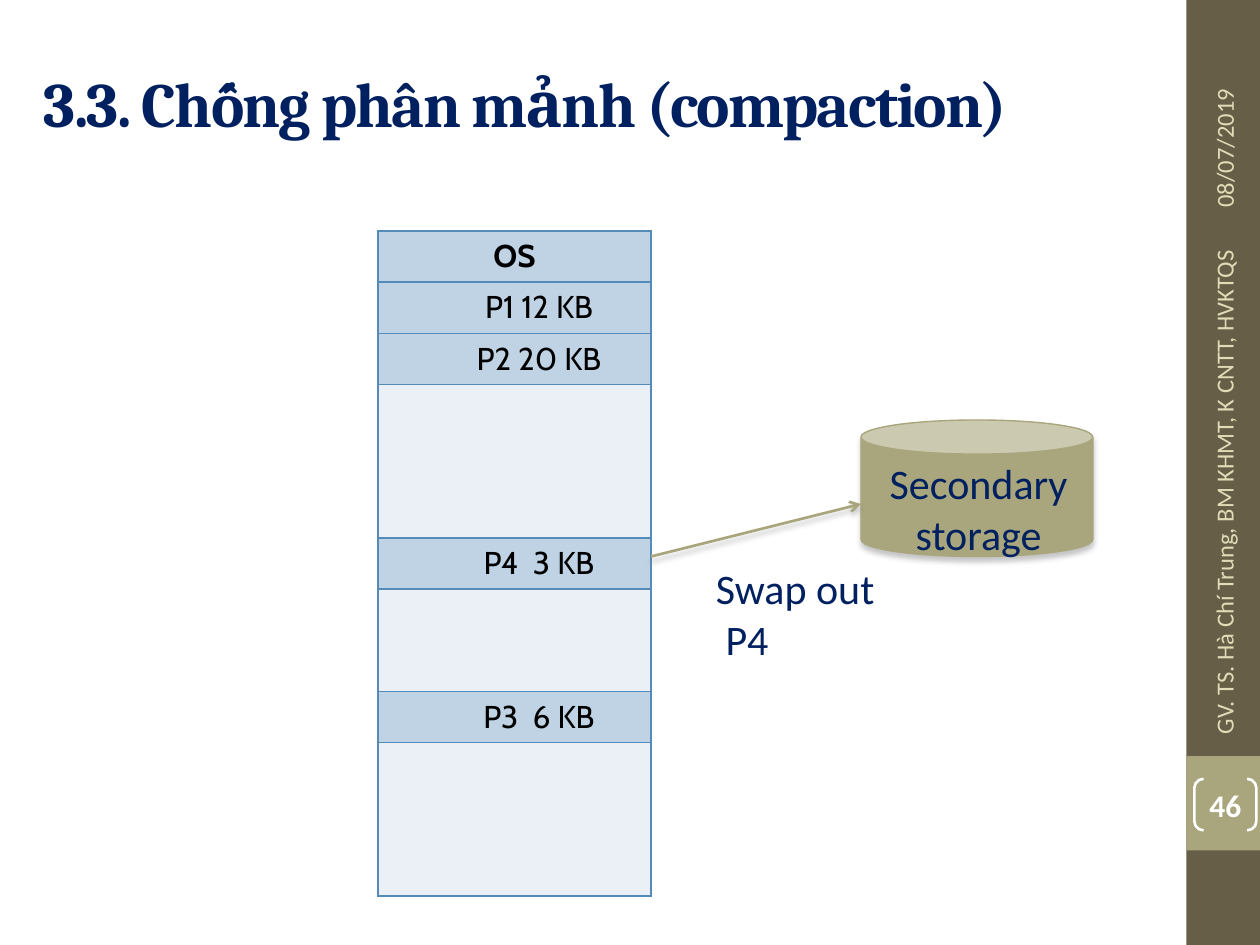
import pptx
import pptx.util
import pptx.dml.color
import pptx.enum.shapes
import pptx.enum.text
import pptx.oxml.ns
from lxml import etree

Pt = pptx.util.Pt
qn = pptx.oxml.ns.qn
SHAPE = pptx.enum.shapes.MSO_SHAPE
CENTER = pptx.enum.text.PP_ALIGN.CENTER
MIDDLE = pptx.enum.text.MSO_ANCHOR.MIDDLE

COLORS = {
    "sidebar": "675E47", "accent": "A9A57C", "sidebar_text": "DFDCB7",
    "navy": "002060", "white": "FFFFFF", "black": "000000",
    "used": "BFD3E4", "free": "EAF0F6", "border": "558BB8", "shadow": "808080",
}
TITLE = {"name": "Cambria", "size": Pt(36), "bold": True, "color": "navy"}
SIDEBAR = {"name": "Calibri", "size": Pt(14), "color": "sidebar_text"}
NUMBER = {"name": "Calibri", "size": Pt(18), "bold": True, "color": "white"}
LABEL = {"name": "Calibri", "size": Pt(24), "color": "navy"}
PROCESS = {"name": "Cabin", "size": Pt(18), "bold": False, "color": "black"}
SYSTEM = {**PROCESS, "bold": True}


def rgb(name):
    return pptx.dml.color.RGBColor.from_string(COLORS[name])


class SlideBuilder:
    def __init__(self, slide):
        self.slide = slide
        self.shapes = slide.shapes

    def styled_run(self, paragraph, text, style, align=None, spacing=None, indent=0):
        """Add one run; spacing is in points, indent is the left margin."""
        run = paragraph.add_run()
        run.text = text
        paragraph.alignment = align
        for key, value in style.items():
            if key == "color":
                run.font.color.rgb = rgb(value)
            else:
                setattr(run.font, key, value)
        if spacing:
            run._r.get_or_add_rPr().set("spc", str(spacing * 100))
        if indent:
            paragraph._p.get_or_add_pPr().set("marL", str(Pt(indent)))

    def text(self, box, lines, style, align=None, anchor=None, rotation=0,
             spacing=None, indents=()):
        holder = self.shapes.add_textbox(*map(Pt, box))
        holder.rotation = rotation
        frame = holder.text_frame
        for key, value in {"word_wrap": True, "vertical_anchor": anchor}.items():
            setattr(frame, key, value)
        for index, line in enumerate(lines):
            paragraph = frame.add_paragraph() if index else frame.paragraphs[0]
            indent = indents[index] if indents else 0
            self.styled_run(paragraph, line, style, align, spacing, indent)

    def shape(self, kind, box, fill=None, line=None, width=1, shadow=False):
        shape = self.shapes.add_shape(kind, *map(Pt, box))
        if fill:
            shape.fill.solid()
            shape.fill.fore_color.rgb = rgb(fill)
        else:
            shape.fill.background()
        if line:
            shape.line.color.rgb = rgb(line)
            shape.line.width = Pt(width)
        else:
            shape.line.fill.background()
        shape.shadow.inherit = False
        if shadow:
            self.drop_shadow(shape._element.spPr.find(qn("a:effectLst")))
        return shape

    def drop_shadow(self, effects):
        outer = etree.SubElement(
            effects, qn("a:outerShdw"), blurRad=str(Pt(3)), dist=str(Pt(2.4)),
            dir="5400000", rotWithShape="0")
        color = etree.SubElement(outer, qn("a:srgbClr"), val=COLORS["shadow"])
        etree.SubElement(color, qn("a:alpha"), val="45000")

    def bracketed_number(self, box, number):
        brackets = self.shape(SHAPE.DOUBLE_BRACKET, box, line="white", width=1.5)
        brackets.adjustments[0] = 0.18
        frame = brackets.text_frame
        layout = {"margin_left": 0, "margin_right": 0, "margin_top": 0,
                  "margin_bottom": 0, "vertical_anchor": MIDDLE}
        for key, value in layout.items():
            setattr(frame, key, value)
        self.styled_run(frame.paragraphs[0], number, NUMBER, CENTER)

    def arrow(self, start, end, color, width):
        arrow = self.shapes.add_connector(
            pptx.enum.shapes.MSO_CONNECTOR.STRAIGHT, *map(Pt, start + end))
        arrow.line.color.rgb = rgb(color)
        arrow.line.width = Pt(width)
        properties = arrow._element.spPr
        etree.SubElement(properties.find(qn("a:ln")), qn("a:tailEnd"), type="arrow")
        self.drop_shadow(etree.SubElement(properties, qn("a:effectLst")))

    def border(self, cell, hidden_sides):
        for index, side in enumerate("LRTB"):
            edge = etree.Element(qn(f"a:ln{side}"), w=str(Pt(1)))
            if side in hidden_sides:
                etree.SubElement(edge, qn("a:noFill"))
            else:
                fill = etree.SubElement(edge, qn("a:solidFill"))
                etree.SubElement(fill, qn("a:srgbClr"), val=COLORS["border"])
            cell._tc.get_or_add_tcPr().insert(index, edge)

    def memory_map(self, left, top, width, row_height, blocks):
        """Draw one row per block; None is free space, merged by hiding edges."""
        count = len(blocks)
        table = self.shapes.add_table(
            count, 1, Pt(left), Pt(top), Pt(width), Pt(row_height * count)).table
        table.first_row = table.horz_banding = False
        for index, block in enumerate(blocks):
            cell = table.cell(index, 0)
            cell.fill.solid()
            cell.fill.fore_color.rgb = rgb("used" if block else "free")
            hidden = ""
            if block:
                system = block == "OS"
                self.styled_run(cell.text_frame.paragraphs[0], block,
                                SYSTEM if system else PROCESS, CENTER,
                                indent=0 if system else 28)
            else:
                hidden += "T" if index and not blocks[index - 1] else ""
                hidden += "B" if index + 1 < count and not blocks[index + 1] else ""
            self.border(cell, hidden)


def main():
    deck = pptx.Presentation()
    deck.slide_width, deck.slide_height = Pt(720), Pt(540)
    page = SlideBuilder(deck.slides.add_slide(deck.slide_layouts[6]))

    page.shape(SHAPE.RECTANGLE, (678, 0, 42, 540), "sidebar")
    page.shape(SHAPE.RECTANGLE, (678, 432, 42, 54), "accent")
    page.text((18, 21.6, 642, 74), ["3.3. Chống phân mảnh (compaction)"],
              TITLE, anchor=MIDDLE, spacing=-1)
    for box, caption in (
            ((636.5, 48.2, 126, 28.8), "08/07/2019"),
            ((549.4, 262.1, 300, 28.8),
             "GV. TS. Hà Chí Trung, BM KHMT, K CNTT, HVKTQS")):
        page.text(box, [caption], SIDEBAR, anchor=MIDDLE, rotation=270)
    page.bracketed_number((682.5, 445, 35.5, 29.5), "46")

    free = None
    page.memory_map(216, 132, 156, 29.25, [
        "OS", "P1 12 KB", "P2 20 KB", free, free, free, "P4  3 KB",
        free, free, "P3  6 KB", free, free, free])

    storage = page.shape(SHAPE.CAN, (492, 240, 132.5, 78), "accent", "accent",
                         0.79, shadow=True)
    storage.adjustments[0] = 0.25
    page.arrow((372, 318), (492, 288), "accent", 1.5)
    page.text((402, 318, 120, 65.5), ["Swap out", "P4"], LABEL, indents=(0, 5.5))
    page.text((498, 258, 122.5, 65.5), ["Secondary", "storage"], LABEL, CENTER)

    deck.save("out.pptx")


if __name__ == "__main__":
    main()
